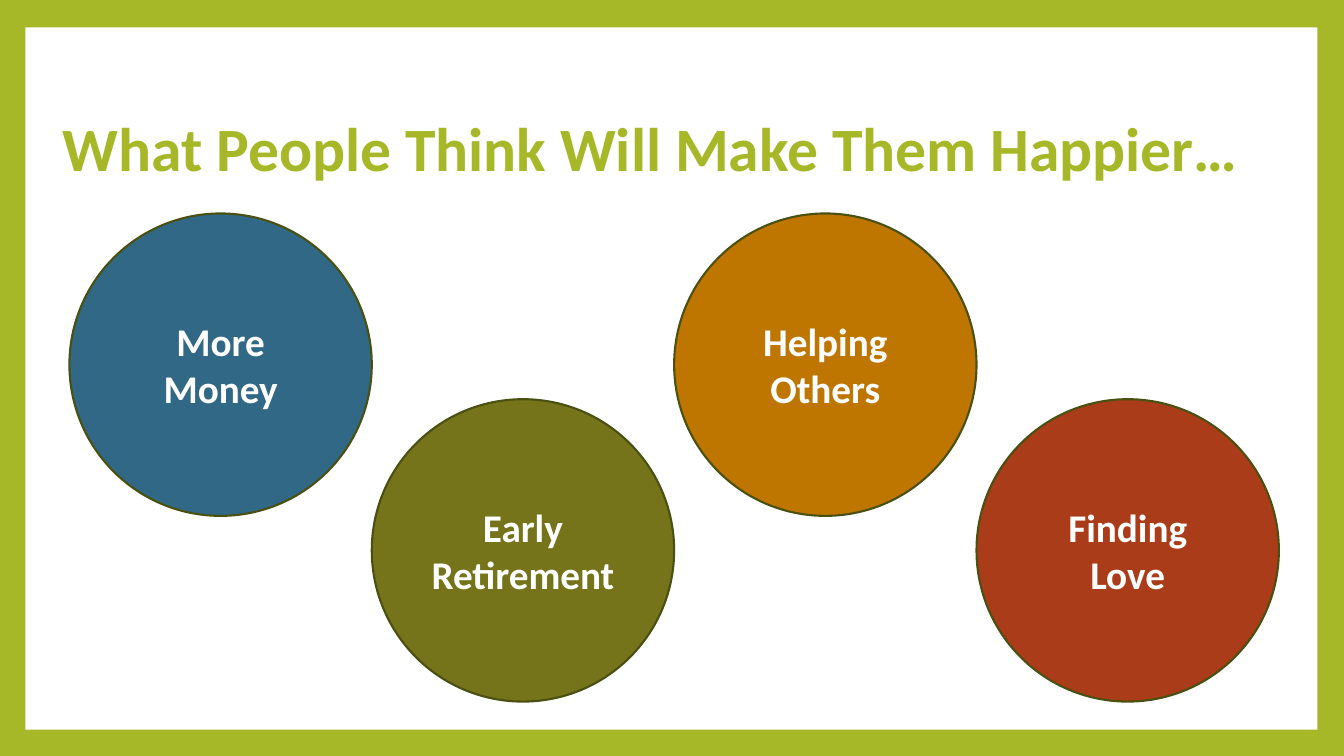
from pptx import Presentation
from pptx import util as u
from pptx.dml.color import RGBColor
from pptx.enum import shapes, text

LIME = RGBColor(0xA6, 0xB7, 0x27)
WHITE = RGBColor(0xFF, 0xFF, 0xFF)
OUTLINE = RGBColor(0x49, 0x50, 0x11)
BLUE = RGBColor(0x31, 0x68, 0x86)
OLIVE = RGBColor(0x75, 0x74, 0x1A)
ORANGE = RGBColor(0xBE, 0x76, 0x00)
RED = RGBColor(0xAB, 0x3C, 0x19)

FONT = "Calibri"
DIAMETER = 7.62
FIRST_LEFT = 1.75
ROW_TOPS = (5.38, 10.06)
WISHES = [
    ("More Money", BLUE),
    ("Early Retirement", OLIVE),
    ("Helping Others", ORANGE),
    ("Finding Love", RED),
]


def format_text(tf, size, color, align):
    tf.word_wrap = True
    tf.auto_size = text.MSO_AUTO_SIZE.NONE
    tf.vertical_anchor = text.MSO_ANCHOR.MIDDLE
    p = tf.paragraphs[0]
    p.alignment = align
    font = p.runs[0].font
    font.name, font.size, font.bold = FONT, u.Pt(size), True
    font.color.rgb = color


def add_filled(s, kind, left, top, width, height, fill):
    sp = s.shapes.add_shape(kind, u.Cm(left), u.Cm(top), u.Cm(width), u.Cm(height))
    sp.shadow.inherit = False
    sp.fill.solid()
    sp.fill.fore_color.rgb = fill
    sp.line.fill.background()
    return sp


def add_frame(s):
    s.background.fill.solid()
    s.background.fill.fore_color.rgb = LIME
    panel = add_filled(s, shapes.MSO_SHAPE.RECTANGLE, 0.64, 0.69, 32.56, 17.7, WHITE)
    # Send the panel behind the title
    s.shapes.title.element.addprevious(panel.element)


def set_title(s, words):
    title = s.shapes.title
    title.left, title.top = u.Cm(1.32), u.Cm(1.93)
    title.width, title.height = u.Cm(33.45), u.Cm(3.76)
    tf = title.text_frame
    tf.text = words
    tf.paragraphs[0].line_spacing = 0.9
    format_text(tf, 44, LIME, text.PP_ALIGN.LEFT)


def add_circle(s, left, top, words, fill):
    sp = add_filled(s, shapes.MSO_SHAPE.OVAL, left, top, DIAMETER, DIAMETER, fill)
    sp.line.color.rgb = OUTLINE
    sp.line.width = u.Pt(1.5)
    sp.text_frame.text = words
    format_text(sp.text_frame, 28, WHITE, text.PP_ALIGN.CENTER)


def main():
    prs = Presentation()
    prs.slide_width, prs.slide_height = u.Cm(33.87), u.Cm(19.05)
    s = prs.slides.add_slide(prs.slide_layouts[5])

    # Border and title
    add_frame(s)
    set_title(s, "What People Think Will Make Them Happier…")

    # Circles side by side, alternating between two heights
    for i, (words, fill) in enumerate(WISHES):
        add_circle(s, FIRST_LEFT + i * DIAMETER, ROW_TOPS[i % 2], words, fill)

    prs.save("out.pptx")


if __name__ == "__main__":
    main()
